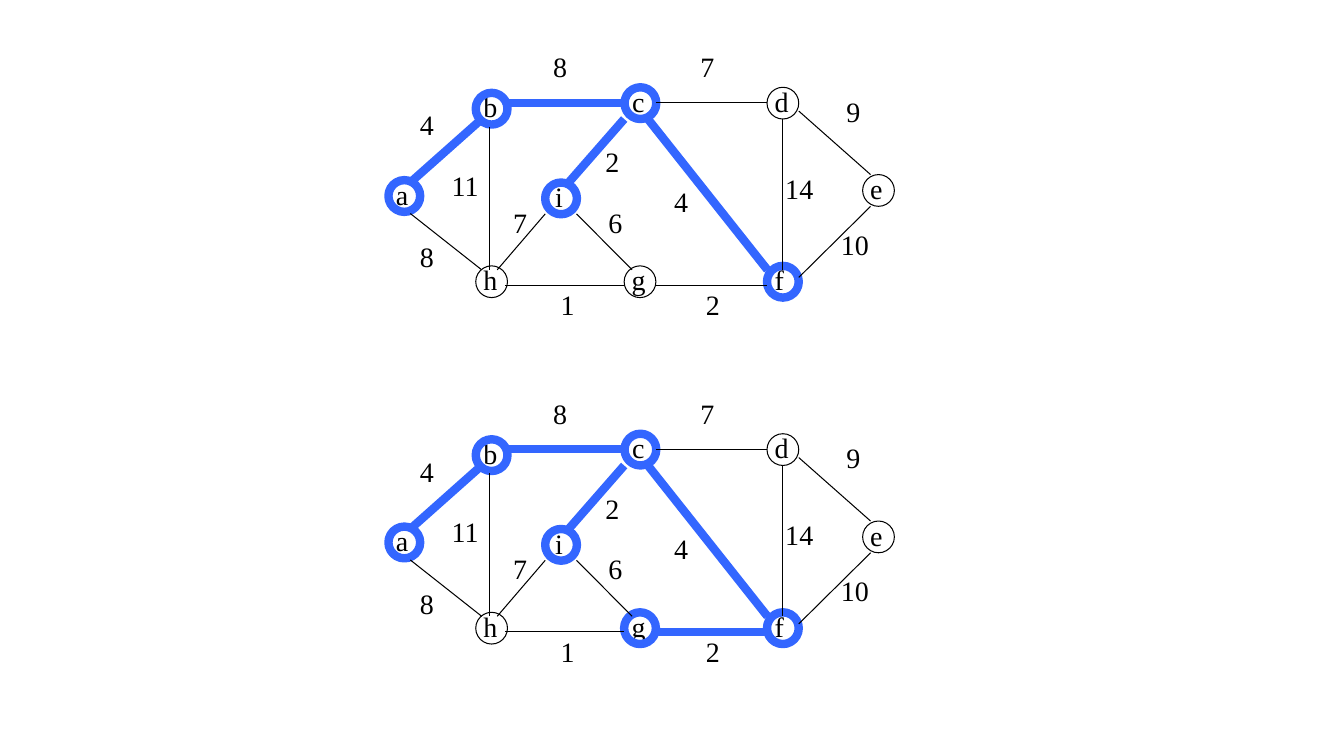
from lxml.etree import SubElement
from pptx import Presentation
from pptx.dml.color import RGBColor
from pptx.enum.shapes import MSO_CONNECTOR as Connector, MSO_SHAPE as Shape
from pptx.enum.text import MSO_AUTO_SIZE as AutoSize
from pptx.oxml.ns import qn
from pptx.util import Cm, Pt

COLORS = {"tree": "3366FF", "plain": "000000", "text": "000000"}
DIAMETER = 0.8
GRAPH_STEP = 8.73

# Vertices: left and top of the circle, width of the letter box (cm)
VERTICES = {
    "a": (9.79, 4.54, 0.81), "b": (11.99, 2.34, 0.86), "h": (11.99, 6.7, 0.86),
    "c": (15.74, 2.2, 0.81), "d": (19.33, 2.2, 0.86), "e": (21.74, 4.4, 0.81),
    "f": (19.33, 6.7, 0.74), "g": (15.73, 6.7, 0.86), "i": (13.74, 4.6, 0.71),
}

# Edges: start, end (cm)
EDGES = {
    "ab": (10.34, 4.6, 12.14, 3.0), "ah": (10.34, 5.38, 12.14, 6.8),
    "bh": (12.34, 3.2, 12.34, 6.8), "bc": (12.73, 2.59, 15.73, 2.59),
    "hg": (12.73, 7.19, 15.73, 7.19), "gf": (16.53, 7.19, 19.34, 7.19),
    "cf": (16.33, 3.0, 19.34, 6.8), "cd": (16.53, 2.59, 19.34, 2.59),
    "df": (19.73, 3.0, 19.73, 6.8), "de": (20.13, 2.8, 21.94, 4.4),
    "fe": (20.13, 6.99, 21.94, 5.2), "ig": (14.53, 5.39, 15.93, 6.8),
    "hi": (12.53, 6.8, 13.74, 5.39), "ic": (14.33, 4.6, 15.73, 3.0),
}

# Weights: value, left and top of its box (cm)
WEIGHTS = [
    ("4", 10.33, 2.59), ("8", 13.69, 1.13), ("7", 17.4, 1.13), ("9", 21.08, 2.25),
    ("10", 20.94, 5.6), ("14", 19.54, 4.19), ("4", 16.74, 4.53), ("2", 15.01, 3.52),
    ("2", 17.54, 7.13), ("6", 15.08, 5.05), ("1", 13.88, 7.13), ("7", 12.68, 5.05),
    ("11", 11.13, 4.12), ("8", 10.33, 5.92),
]

# Edges already in the spanning tree at each step
TREES = [["ab", "bc", "ic", "cf"], ["ab", "bc", "ic", "cf", "gf"]]


def add_label(group, text, left, top, width, height):
    box = group.shapes.add_textbox(Cm(left), Cm(top), Cm(width), Cm(height))
    box.text_frame.word_wrap = False
    box.text_frame.auto_size = AutoSize.SHAPE_TO_FIT_TEXT
    run = box.text_frame.paragraphs[0].add_run()
    run.text = text
    run.font.name = "Times New Roman"
    run.font.size = Pt(20)
    run.font.color.rgb = RGBColor.from_string(COLORS["text"])


def style_line(line, in_tree):
    line.color.rgb = RGBColor.from_string(COLORS["tree" if in_tree else "plain"])
    line.width = Pt(6 if in_tree else 0.75)


presentation = Presentation()
presentation.slide_width = Cm(33.87)
presentation.slide_height = Cm(19.05)
slide = presentation.slides.add_slide(presentation.slide_layouts[6])

for step, tree in enumerate(TREES):
    group = slide.shapes.add_group_shape()
    down = step * GRAPH_STEP
    tree_vertices = set("".join(tree))

    # Vertices, each letter behind its open circle
    for letter, (left, top, width) in VERTICES.items():
        inset = 0 if letter == "i" else 0.06
        add_label(group, letter, left - inset, top + down - 0.2, width, 1.09)
        circle = group.shapes.add_shape(
            Shape.OVAL, Cm(left), Cm(top + down), Cm(DIAMETER), Cm(DIAMETER))
        circle.shadow.inherit = False
        circle.fill.background()
        style_line(circle.line, letter in tree_vertices)

    # Edges
    for ends, (x1, y1, x2, y2) in EDGES.items():
        edge = group.shapes.add_connector(
            Connector.STRAIGHT, Cm(x1), Cm(y1 + down), Cm(x2), Cm(y2 + down))
        style_line(edge.line, ends in tree)
        SubElement(edge._element.spPr, qn("a:effectLst"))

    # Edge weights
    for weight, left, top in WEIGHTS:
        width = 0.86 if len(weight) == 1 else 1.21
        add_label(group, weight, left, top + down, width, 1.12)

presentation.save("out.pptx")
